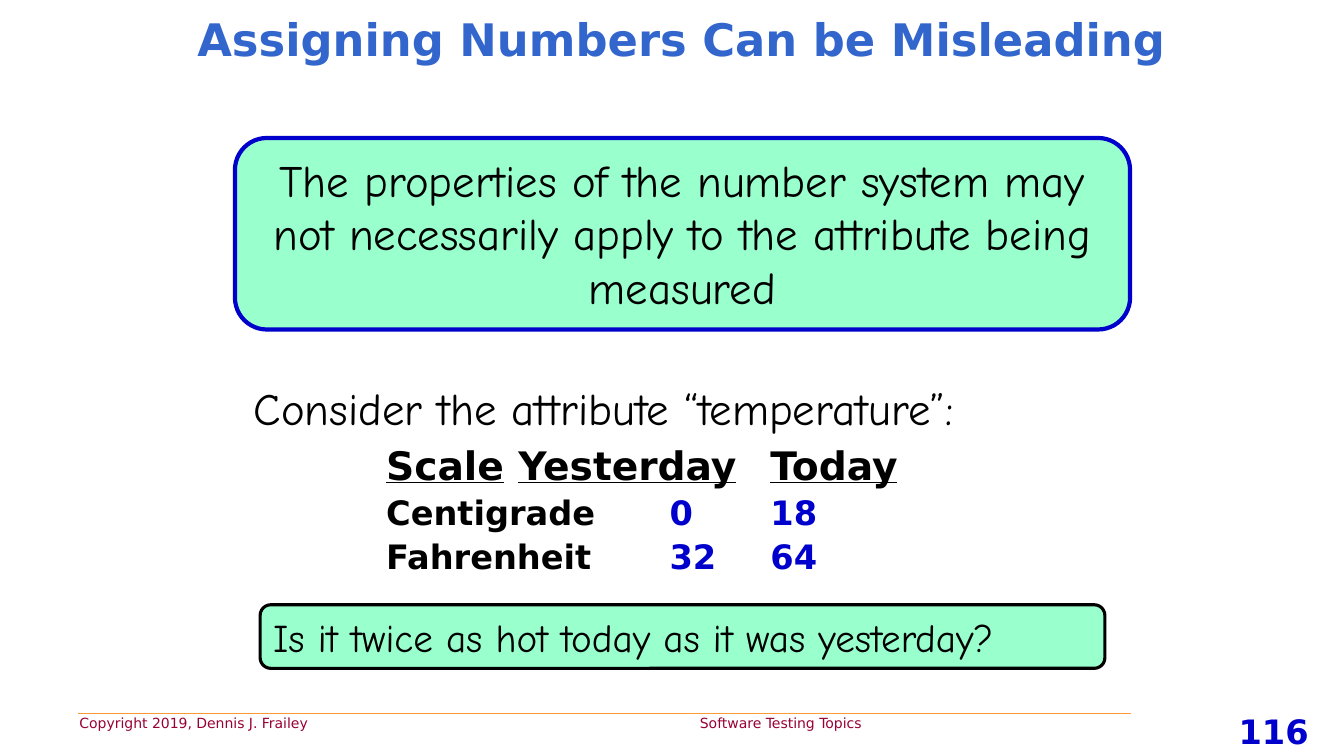
from lxml import etree
from pptx import Presentation
from pptx.dml.color import RGBColor
from pptx.enum.shapes import MSO_CONNECTOR, MSO_SHAPE
from pptx.enum.text import MSO_ANCHOR, MSO_AUTO_SIZE, PP_ALIGN
from pptx.oxml.ns import qn
from pptx.util import Pt

LEFT, CENTER = PP_ALIGN.LEFT, PP_ALIGN.CENTER
TOP, MIDDLE = MSO_ANCHOR.TOP, MSO_ANCHOR.MIDDLE
NO_AUTOFIT = MSO_AUTO_SIZE.NONE
ROUNDED = MSO_SHAPE.ROUNDED_RECTANGLE
STRAIGHT = MSO_CONNECTOR.STRAIGHT

COLORS = {
    "title": "3366CC", "text": "000000", "value": "0000CC",
    "callout": "99FFCC", "footer": "990033", "rule": "FF9933",
}
SANS, HAND = "DejaVu Sans", "Comic Neue"


class SlideBuilder:
    """Holds the style and the current slide."""

    def __init__(self, slide):
        self.slide = slide

    def color(self, name):
        return RGBColor.from_string(COLORS[name])

    def place(self, shape, box):
        shape.left, shape.top, shape.width, shape.height = map(Pt, box)

    def frame(self, shape, anchor=TOP):
        frame = shape.text_frame
        frame.word_wrap = True
        frame.auto_size = NO_AUTOFIT
        frame.vertical_anchor = anchor
        return frame

    def run(self, paragraph, text, size, color="text", font=SANS,
            bold=False, underline=False):
        run = paragraph.add_run()
        run.text = text
        run.font.size = Pt(size)
        run.font.name = font
        run.font.bold = bold
        run.font.underline = underline
        run.font.color.rgb = self.color(color)

    def title(self, box, text):
        heading = self.slide.shapes.title
        self.place(heading, box)
        paragraph = self.frame(heading, MIDDLE).paragraphs[0]
        paragraph.alignment = CENTER
        self.run(paragraph, text, 32, "title", bold=True)

    def rows(self, box, rows):
        """Tabbed rows in the body placeholder: (space before, size, runs)."""
        body = self.slide.placeholders[1]
        self.place(body, box)
        frame = self.frame(body)
        for index, (space, size, runs) in enumerate(rows):
            paragraph = frame.add_paragraph() if index else frame.paragraphs[0]
            paragraph.alignment = LEFT
            paragraph.space_before = Pt(space)
            properties = paragraph._p.get_or_add_pPr()
            properties.set("marL", str(Pt(22.5)))
            properties.set("indent", str(Pt(-22.5)))
            etree.SubElement(properties, qn("a:buNone"))
            for text, color, underline in runs:
                self.run(paragraph, text, size, color, bold=True,
                         underline=underline)

    def text(self, box, text, size, color="text", font=SANS, align=LEFT,
             bold=False, tab=None):
        label = self.slide.shapes.add_textbox(*map(Pt, box))
        paragraph = self.frame(label).paragraphs[0]
        paragraph.alignment = align
        if tab:
            tabs = etree.SubElement(paragraph._p.get_or_add_pPr(), qn("a:tabLst"))
            etree.SubElement(tabs, qn("a:tab"), pos=str(Pt(tab)), algn="l")
        self.run(paragraph, text, size, color, font, bold)

    def callout(self, box, text, size, border, weight, align):
        callout = self.slide.shapes.add_shape(ROUNDED, *map(Pt, box))
        callout.shadow.inherit = False
        callout.fill.solid()
        callout.fill.fore_color.rgb = self.color("callout")
        callout.line.color.rgb = self.color(border)
        callout.line.width = Pt(weight)
        paragraph = self.frame(callout).paragraphs[0]
        paragraph.alignment = align
        self.run(paragraph, text, size, font=HAND)

    def rule(self, x1, x2, y):
        rule = self.slide.shapes.add_connector(STRAIGHT, Pt(x1), Pt(y), Pt(x2), Pt(y))
        rule.line.color.rgb = self.color("rule")
        rule.line.width = Pt(0.75)
        etree.SubElement(rule._element.spPr, qn("a:effectLst"))


def main():
    presentation = Presentation()
    presentation.slide_width, presentation.slide_height = Pt(960), Pt(540)
    layout = presentation.slide_layouts[1]
    builder = SlideBuilder(presentation.slides.add_slide(layout))

    # Footer
    builder.rule(56, 808, 510)
    builder.text((49.7, 507, 766, 19.4),
                 "Copyright 2019, Dennis J. Frailey\t Software Testing Topics",
                 10, "footer", tab=440)
    builder.text((859, 504, 101.5, 36), "116", 24, "value", align=CENTER, bold=True)

    # Title
    builder.title((78.5, 7.2, 817, 40.3), "Assigning Numbers Can be Misleading")

    # Temperature readings
    header = [("Scale", "text", True), ("\t", "text", False),
              ("Yesterday", "text", True), ("\t", "text", False),
              ("Today", "text", True)]
    readings = [("Centigrade", 0, 18), ("Fahrenheit", 32, 64)]
    rows = [(0, 28, header)]
    for scale, yesterday, today in readings:
        rows.append((2.4, 24, [(f"{scale}\t\t", "text", False),
                               (f"{yesterday}\t\t{today}", "value", False)]))
    builder.rows((268.6, 311.8, 498, 104.4), rows)

    # Question, principle and lead-in
    builder.callout((185.8, 432, 603.4, 45.4),
                    "Is it twice as hot today as it was yesterday?",
                    28, "text", 2.25, LEFT)
    builder.callout((167.8, 98.6, 639.4, 136.8),
                    "The properties of the number system may not necessarily "
                    "apply to the attribute being measured",
                    32, "value", 3, CENTER)
    builder.text((174.2, 268.6, 592, 46), "Consider the attribute “temperature”:",
                 32, font=HAND)

    presentation.save("out.pptx")


if __name__ == "__main__":
    main()
